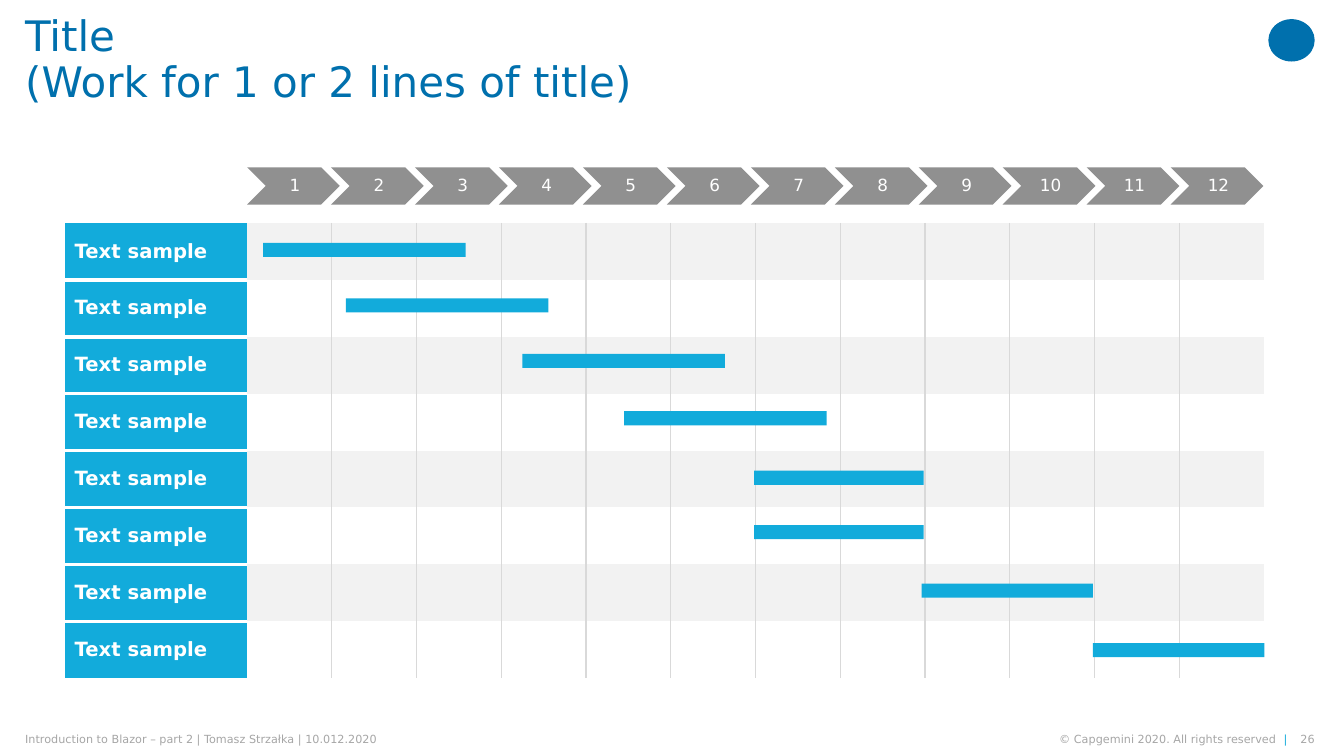
"""Build a twelve-period Gantt planning slide."""
from lxml import etree
from pptx import Presentation
from pptx.dml.color import RGBColor
from pptx.enum.shapes import MSO_SHAPE
from pptx.enum.text import MSO_ANCHOR, PP_ALIGN
from pptx.oxml.ns import qn
from pptx.util import Inches, Pt

CHEVRON, RECTANGLE, OVAL = MSO_SHAPE.CHEVRON, MSO_SHAPE.RECTANGLE, MSO_SHAPE.OVAL
LEFT, CENTER, RIGHT = PP_ALIGN.LEFT, PP_ALIGN.CENTER, PP_ALIGN.RIGHT
MIDDLE = MSO_ANCHOR.MIDDLE

TITLE = "Title\n(Work for 1 or 2 lines of title)"
FOOTER = "Introduction to Blazor – part 2 | Tomasz Strzałka | 10.012.2020"
COPYRIGHT = "© Capgemini 2020. All rights reserved  "
PAGE_NUMBER = "26"
PERIODS = [str(number) for number in range(1, 13)]
TASKS = [
    ("Text sample", 2.61, 2.41, 2.01),
    ("Text sample", 3.43, 2.96, 2.01),
    ("Text sample", 5.18, 3.51, 2.01),
    ("Text sample", 6.19, 4.08, 2.01),
    ("Text sample", 7.48, 4.67, 1.68),
    ("Text sample", 7.48, 5.21, 1.68),
    ("Text sample", 9.14, 5.79, 1.7),
    ("Text sample", 10.84, 6.38, 1.7),
]


class Theme:
    """Colours and type sizes."""
    font = "DejaVu Sans"
    blue, cyan, white = "0070AD", "12ABDB", "FFFFFF"
    chevron, footer, grid, band = "909090", "A6A6A6", "D9D9D9", "F2F2F2"
    title_size, label_size, period_size, footer_size = 30, 14, 12, 8


def write(frame, text, size, color, bold=False, align=LEFT, spacing=None, tail=None):
    """Write text, with an optional (text, colour) tail, into a text frame."""
    paragraph = frame.paragraphs[0]
    paragraph.alignment = align
    if spacing:
        paragraph.line_spacing = spacing
    for piece, piece_color in [(text, color)] + ([tail] if tail else []):
        for number, line in enumerate(piece.split("\n")):
            if number:
                paragraph.add_line_break()
            run = paragraph.add_run()
            run.text = line
            run.font.name, run.font.size, run.font.bold = Theme.font, Pt(size), bold
            run.font.color.rgb = RGBColor.from_string(piece_color)


def set_frame(frame, insets=(0, 0, 0, 0)):
    """Wrap and centre a frame vertically, with left, top, right, bottom insets."""
    frame.word_wrap, frame.vertical_anchor = True, MIDDLE
    frame.margin_left, frame.margin_top, frame.margin_right, frame.margin_bottom = map(Inches, insets)
    return frame


def add_text(slide, box, text, size, color, **style):
    """Add a text box without insets."""
    frame = set_frame(slide.shapes.add_textbox(*map(Inches, box)).text_frame)
    write(frame, text, size, color, **style)


def add_block(slide, kind, box, color):
    """Add a flat filled shape."""
    block = slide.shapes.add_shape(kind, *map(Inches, box))
    block.shadow.inherit = False
    block.fill.solid()
    block.fill.fore_color.rgb = RGBColor.from_string(color)
    block.line.fill.background()
    return block


def style_cell(cell, color, borders):
    """Fill a cell and draw the given borders, clearing the other sides."""
    cell.fill.solid()
    cell.fill.fore_color.rgb = RGBColor.from_string(color)
    properties = cell._tc.get_or_add_tcPr()
    for index, side in enumerate("LRTB"):
        line_color, width = borders.get(side, (None, 0))
        line = etree.Element(qn(f"a:ln{side}"), w=str(Pt(width)))
        if line_color:
            fill = etree.SubElement(line, qn("a:solidFill"))
            etree.SubElement(fill, qn("a:srgbClr"), val=line_color)
        else:
            etree.SubElement(line, qn("a:noFill"))
        properties.insert(index, line)


def add_periods(slide):
    """Add the numbered chevrons above the grid."""
    left, right, width = 2.45, 12.53, 0.92
    step = (right - left - width) / (len(PERIODS) - 1)
    for index, period in enumerate(PERIODS):
        chevron = add_block(slide, CHEVRON, (left + index * step, 1.66, width, 0.37), Theme.chevron)
        frame = set_frame(chevron.text_frame, (0.05, 0.02, 0.02, 0.02))
        write(frame, period, Theme.period_size, Theme.white, align=CENTER, spacing=0.9)


def add_grid(slide):
    """Add the task table."""
    width, height, label_width = 11.9, 4.52, 1.81
    last_row, last_column = len(TASKS) - 1, len(PERIODS)
    frame = slide.shapes.add_table(last_row + 1, last_column + 1, *map(Inches, (0.64, 2.21, width, height)))
    grid = frame.table
    grid.first_row = grid.horz_banding = False
    for index, column in enumerate(grid.columns):
        column.width = Inches((width - label_width) / last_column if index else label_width)
    rule, gap = (Theme.grid, 1), (Theme.white, 3)
    for row, (label, *_) in enumerate(TASKS):
        grid.rows[row].height = Inches(height / len(TASKS))
        borders = {"T": gap} if row else {}
        if row < last_row:
            borders["B"] = gap
        style_cell(grid.cell(row, 0), Theme.cyan, borders)
        grid.cell(row, 0).vertical_anchor = MIDDLE
        write(grid.cell(row, 0).text_frame, label, Theme.label_size, Theme.white, bold=True)
        for column in range(1, last_column + 1):
            borders = {"L": rule} if column > 1 else {}
            if column < last_column:
                borders["R"] = rule
            style_cell(grid.cell(row, column), Theme.white if row % 2 else Theme.band, borders)


def main():
    """Assemble and save the slide."""
    deck = Presentation()
    deck.slide_width, deck.slide_height = Inches(13.33), Inches(7.5)
    slide = deck.slides.add_slide(deck.slide_layouts[6])
    add_block(slide, OVAL, (12.58, 0.19, 0.46, 0.42), Theme.blue)
    add_text(slide, (12.85, 7.27, 0.19, 0.13), PAGE_NUMBER, Theme.footer_size, Theme.footer, align=RIGHT)
    add_text(slide, (9.86, 7.27, 2.91, 0.13), COPYRIGHT, Theme.footer_size, Theme.footer,
             align=RIGHT, tail=("|", Theme.cyan))
    add_text(slide, (0.25, 7.27, 5.16, 0.13), FOOTER, Theme.footer_size, Theme.footer)
    add_text(slide, (0.25, 0, 12.17, 1.21), TITLE, Theme.title_size, Theme.blue, spacing=0.9)
    add_periods(slide)
    add_grid(slide)
    for _, left, top, width in TASKS:
        add_block(slide, RECTANGLE, (left, top, width, 0.14), Theme.cyan)
    deck.save("out.pptx")


if __name__ == "__main__":
    main()
